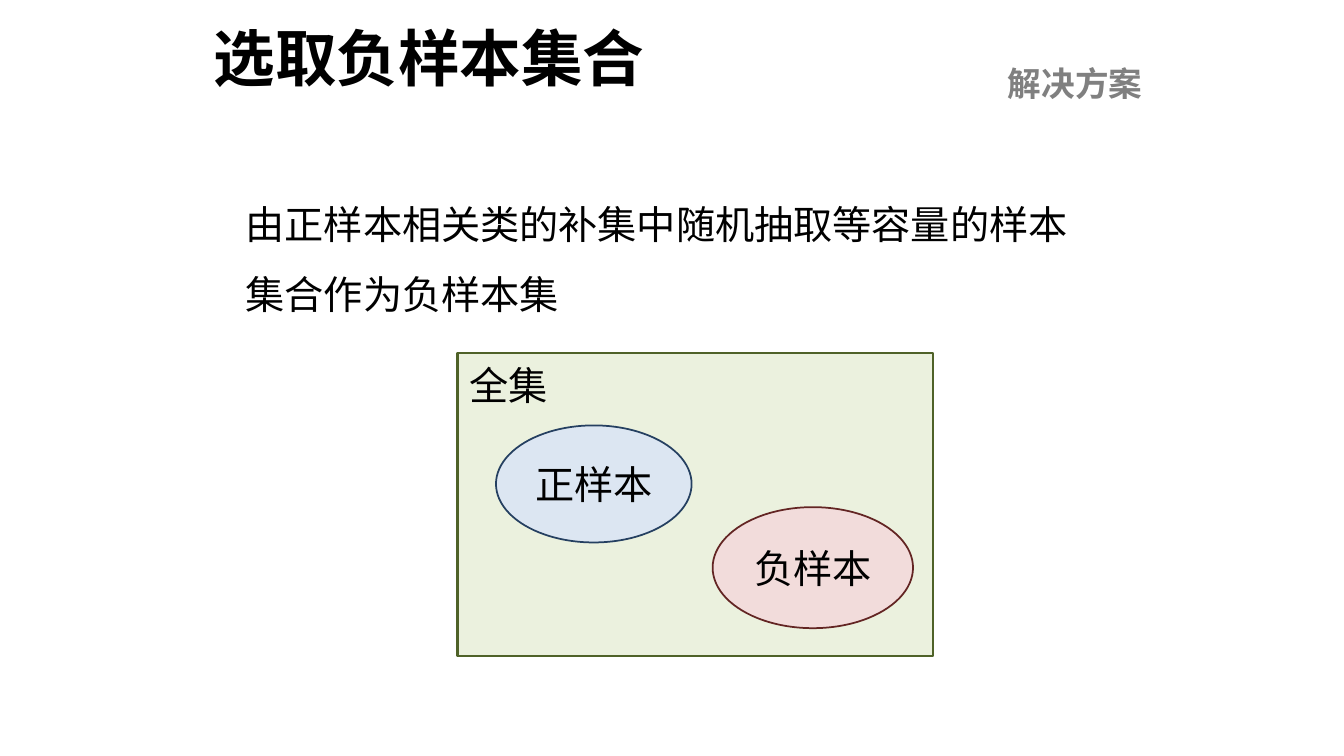
from lxml.etree import SubElement
from pptx import Presentation
from pptx.dml.color import RGBColor
from pptx.enum.shapes import MSO_SHAPE
from pptx.enum.text import MSO_ANCHOR, PP_ALIGN
from pptx.oxml.ns import qn
from pptx.util import Cm, Pt

FONT = "Noto Sans CJK SC"


def color(value):
    """Turn a hex string into a colour."""
    return RGBColor.from_string(value)


def write(shape, text, size=28, ink="000000", bold=False, wrap=True,
          anchor=MSO_ANCHOR.TOP, align=PP_ALIGN.LEFT, spacing=None):
    """Put one formatted paragraph into a shape."""
    frame = shape.text_frame
    frame.text = text
    frame.word_wrap = wrap
    frame.vertical_anchor = anchor
    para = frame.paragraphs[0]
    para.alignment = align
    para.line_spacing = spacing
    for span in para.runs:
        span.font.size = Pt(size)
        span.font.bold = bold
        span.font.color.rgb = color(ink)
        span.font.name = FONT
        SubElement(span.font._element, qn("a:ea")).set("typeface", FONT)


def add_text(shapes, bounds, text, **style):
    """Add a text box with bounds in centimetres."""
    box = shapes.add_textbox(*map(Cm, bounds))
    write(box, text, **style)


def add_area(shapes, kind, bounds, fill, outline, width):
    """Add a filled, outlined shape with bounds in centimetres."""
    area = shapes.add_shape(kind, *map(Cm, bounds))
    area.shadow.inherit = False
    area.fill.solid()
    area.fill.fore_color.rgb = color(fill)
    area.line.color.rgb = color(outline)
    area.line.width = Pt(width)
    return area


def add_sample(shapes, bounds, text, fill, outline):
    """Add a labelled ellipse for one sample set."""
    ellipse = add_area(shapes, MSO_SHAPE.OVAL, bounds, fill, outline, 1.25)
    write(ellipse, text, wrap=False, anchor=MSO_ANCHOR.MIDDLE, align=PP_ALIGN.CENTER)


def add_set_diagram(page):
    """Add the universal set with its two sample sets as a group."""
    shapes = page.shapes.add_group_shape().shapes
    add_area(shapes, MSO_SHAPE.RECTANGLE, (11.53, 8.89, 11.99, 7.65),
             "EBF1DE", "4F6228", 1.5)
    add_text(shapes, (11.58, 8.99, 2.84, 1.57), "全集", wrap=False)
    add_sample(shapes, (12.5, 10.72, 4.93, 2.95), "正样本", "DCE6F2", "254061")
    add_sample(shapes, (17.96, 12.78, 5.05, 3.05), "负样本", "F2DCDB", "632523")


def main():
    """Build and save the slide."""
    deck = Presentation()
    deck.slide_width, deck.slide_height = Cm(33.87), Cm(19.05)
    page = deck.slides.add_slide(deck.slide_layouts[6])
    add_text(page.shapes, (5.13, 0.38, 11.61, 2.11), "选取负样本集合",
             size=44, bold=True, anchor=MSO_ANCHOR.MIDDLE)
    add_text(page.shapes, (25.15, 1.47, 7.8, 1.27), "解决方案",
             size=24, ink="808080", bold=True)
    add_text(page.shapes, (5.94, 4.32, 21.79, 3.84),
             "由正样本相关类的补集中随机抽取等容量的样本集合作为负样本集", spacing=1.5)
    add_set_diagram(page)
    deck.save("out.pptx")


if __name__ == "__main__":
    main()
